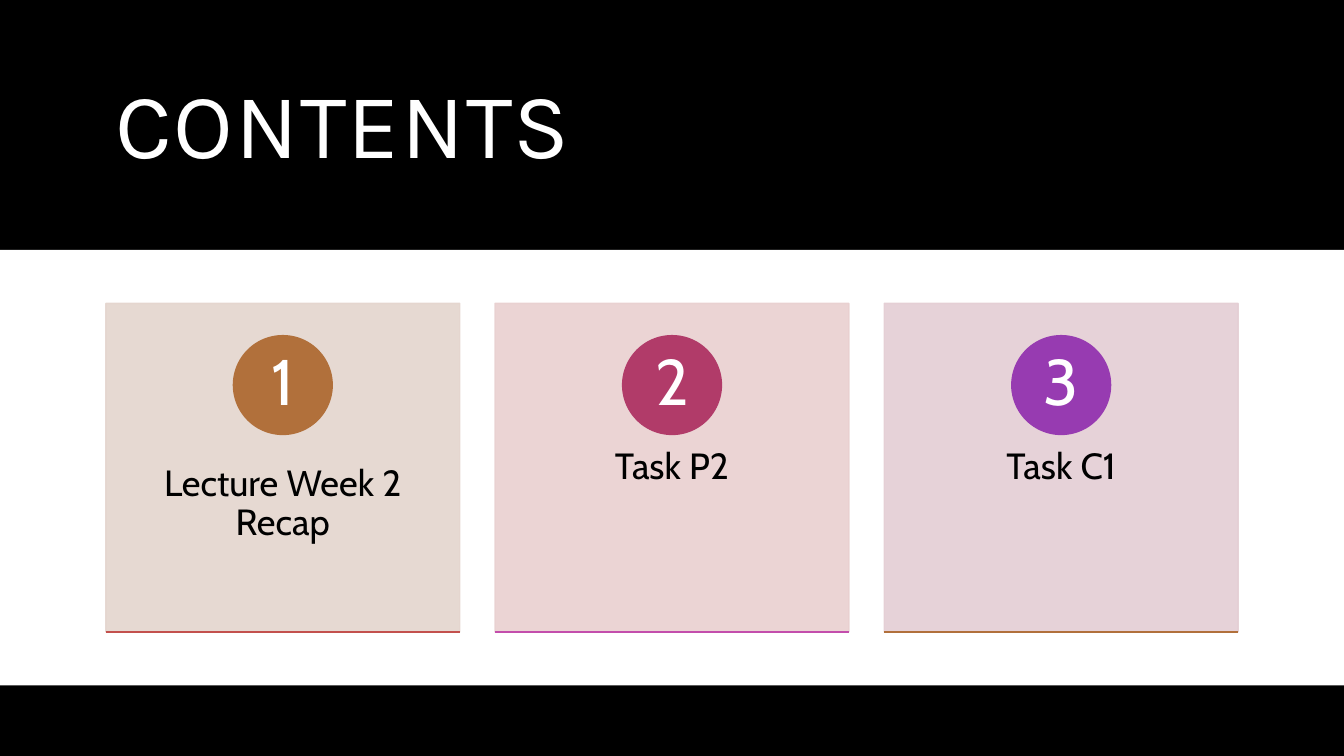
from lxml.etree import SubElement
from pptx import Presentation
from pptx.dml.color import RGBColor
from pptx.enum.shapes import MSO_CONNECTOR, MSO_SHAPE
from pptx.enum.text import MSO_ANCHOR, PP_ALIGN
from pptx.oxml.ns import qn
from pptx.util import Inches, Pt

WIDTH, HEIGHT = 13.33, 7.5
LEFT, TOP = 1.05, 3.01
CARD_W, CARD_H, STEP = 3.51, 3.26, 3.86
BADGE = 0.98

# label, card colour, badge colour, base line colour
CARDS = [
    ("Lecture Week 2 Recap", "E4D5CE", "B1703B", "C3504D"),
    ("Task P2", "E9D0D0", "B13B69", "C34DAC"),
    ("Task C1", "E4CED4", "973BB1", "B1703B"),
]


def color(code):
    return RGBColor.from_string(code)


def set_alpha(shape, percent):
    """Make the fill and line of a shape partly transparent."""
    for tint in shape._element.spPr.iter(qn("a:srgbClr")):
        SubElement(tint, qn("a:alpha"), val=str(percent * 1000))


def add_block(slide, kind, box, fill, line=False):
    shape = slide.shapes.add_shape(kind, *map(Inches, box))
    shape.shadow.inherit = False
    shape.fill.solid()
    shape.fill.fore_color.rgb = color(fill)
    if line:
        shape.line.color.rgb = color(fill)
        shape.line.width = Pt(1)
    else:
        shape.line.fill.background()
    return shape


def set_text(shape, text, font, size, ink, insets, anchor, align):
    frame = shape.text_frame
    frame.text = text
    frame.word_wrap = True
    frame.vertical_anchor = anchor
    side, edge = map(Inches, insets)
    frame.margin_left = frame.margin_right = side
    frame.margin_top = frame.margin_bottom = edge
    para = frame.paragraphs[0]
    para.alignment = align
    para.line_spacing = 0.9
    run = para.runs[0]
    run.font.name = font
    run.font.size = Pt(size)
    run.font.color.rgb = color(ink)
    return run


def add_title(slide, text):
    box = slide.shapes.add_textbox(*map(Inches, (LEFT, 0.35, 11.23, 1.86)))
    run = set_text(box, text, "Karla", 66, "FFFFFF", (0.1, 0.05),
                   MSO_ANCHOR.MIDDLE, PP_ALIGN.LEFT)
    run.font._element.set("spc", "120")


def add_base(slide, card, tint):
    """Underline a card along its bottom edge."""
    low = card.top + card.height
    line = slide.shapes.add_connector(
        MSO_CONNECTOR.STRAIGHT, card.left, low, card.left + card.width, low)
    line.line.color.rgb = color(tint)
    line.line.width = Pt(1)
    SubElement(line._element.spPr, qn("a:effectLst"))


def add_card(slide, index, label, fill, accent, base):
    left = LEFT + index * STEP
    card = add_block(slide, MSO_SHAPE.RECTANGLE,
                     (left, TOP, CARD_W, CARD_H), fill, line=True)
    set_alpha(card, 90)

    box = slide.shapes.add_textbox(*map(Inches, (left, 4.25, CARD_W, 1.96)))
    set_text(box, label, "Cabin", 26, "000000", (0.27, 0.36),
             MSO_ANCHOR.TOP, PP_ALIGN.CENTER)

    badge = add_block(slide, MSO_SHAPE.OVAL,
                      (left + (CARD_W - BADGE) / 2, 3.33, BADGE, BADGE),
                      accent, line=True)
    set_text(badge, str(index + 1), "Cabin", 46, "FFFFFF", (0.08, 0.01),
             MSO_ANCHOR.MIDDLE, PP_ALIGN.CENTER)

    add_base(slide, card, base)


def main():
    deck = Presentation()
    deck.slide_width, deck.slide_height = Inches(WIDTH), Inches(HEIGHT)
    slide = deck.slides.add_slide(deck.slide_layouts[6])
    add_block(slide, MSO_SHAPE.RECTANGLE, (0, 0, WIDTH, HEIGHT), "000000")
    add_title(slide, "CONTENTS")
    add_block(slide, MSO_SHAPE.RECTANGLE, (0, 2.48, WIDTH, 4.32), "FFFFFF")
    for index, card in enumerate(CARDS):
        add_card(slide, index, *card)
    deck.save("out.pptx")


if __name__ == "__main__":
    main()
